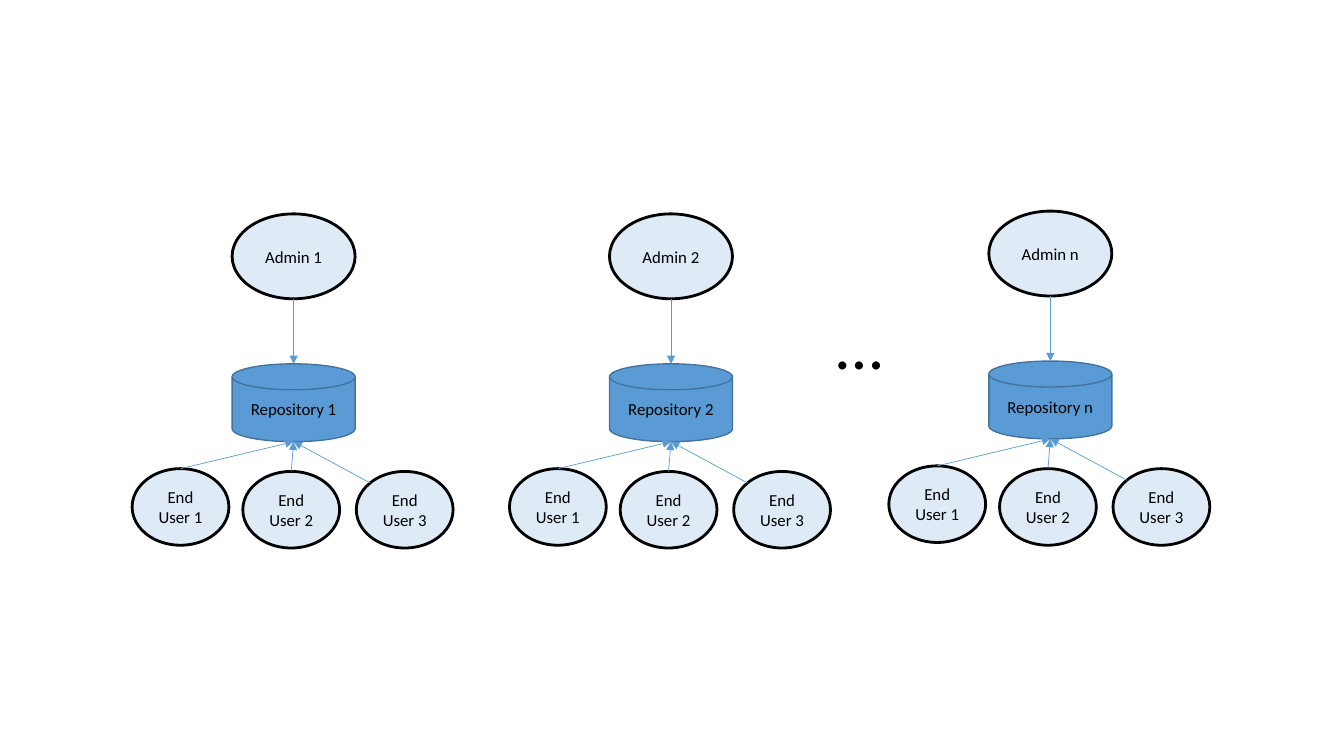
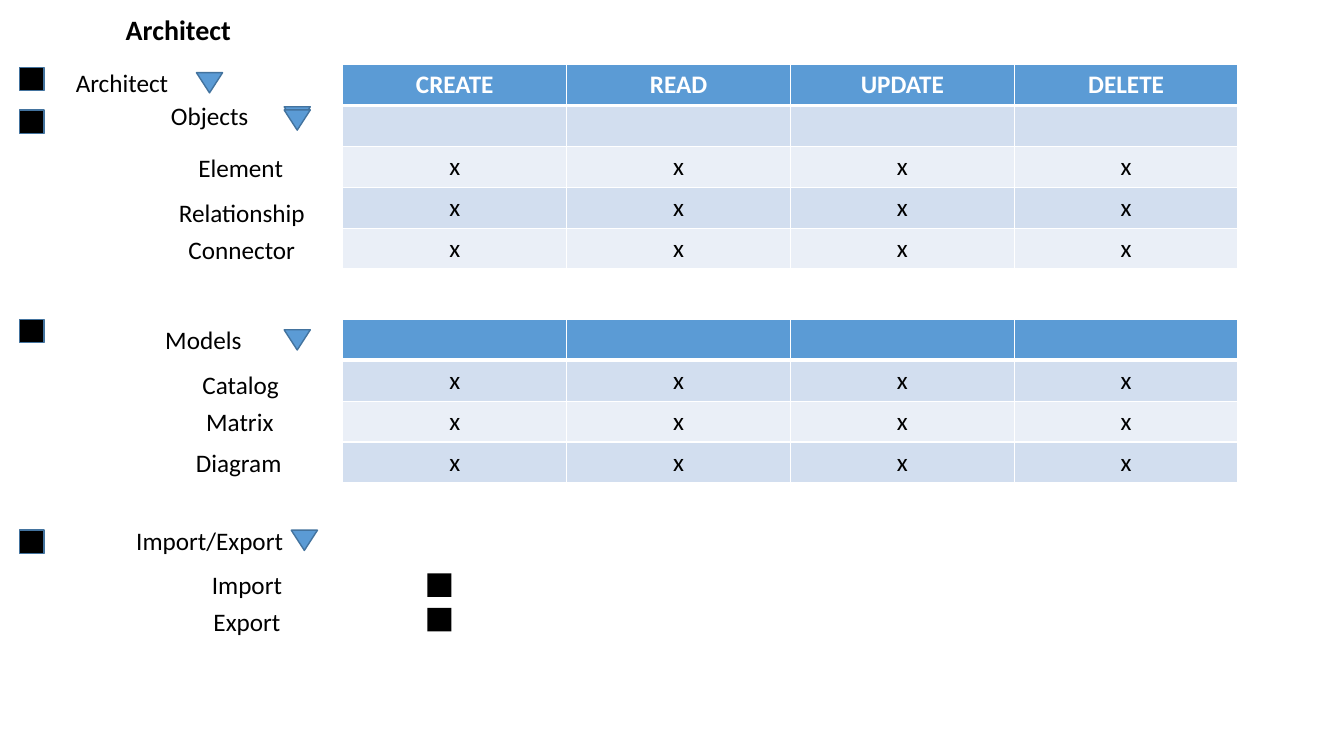
from lxml.etree import SubElement
from pptx import Presentation
from pptx.dml.color import RGBColor
from pptx.enum.shapes import MSO_CONNECTOR, MSO_SHAPE
from pptx.enum.text import MSO_ANCHOR, PP_ALIGN
from pptx.oxml.ns import qn
from pptx.util import Cm, Pt

FONT = "Calibri"
BLACK, WHITE = "000000", "FFFFFF"
BLUE, DARK_BLUE, PALE_BLUE = "5B9BD5", "43739E", "DEEBF7"
BANDS = ("D2DEEF", "EAEFF7")

ADMIN_W, ADMIN_H = 3.1, 2.14
REPO_DROP, REPO_H = 3.78, 1.96
USER_W, USER_H = 2.44, 1.93
LABEL_W, LABEL_H = 5.89, 1.02
COL_W, ROW_H = 5.64, 1.03
ACTIONS = ("CREATE", "READ", "UPDATE", "DELETE")
CHECKS = ("x",) * len(ACTIONS)
BLANKS = ("",) * len(ACTIONS)


def rgb(color):
    """Turn a hex string into a colour."""
    return RGBColor.from_string(color)


def write(tf, text, size, color=BLACK, bold=False, align=PP_ALIGN.CENTER):
    """Write one run into the first paragraph of a text frame."""
    p = tf.paragraphs[0]
    p.alignment = align
    r = p.add_run()
    r.text = text
    r.font.name, r.font.size, r.font.bold = FONT, Pt(size), bold
    r.font.color.rgb = rgb(color)


def add_label(shapes, text, left, top, width=LABEL_W, height=LABEL_H,
              size=18, anchor=MSO_ANCHOR.TOP, **style):
    """Add a wrapping text box."""
    tf = shapes.add_textbox(Cm(left), Cm(top), Cm(width), Cm(height)).text_frame
    tf.word_wrap = True
    tf.vertical_anchor = anchor
    write(tf, text, size, **style)


def add_figure(shapes, kind, left, top, width, height, fill,
               line=None, weight=1, text=""):
    """Add a filled preset shape, with an outline and text if given."""
    sp = shapes.add_shape(kind, Cm(left), Cm(top), Cm(width), Cm(height))
    sp.shadow.inherit = False
    sp.fill.solid()
    sp.fill.fore_color.rgb = rgb(fill)
    if line:
        sp.line.color.rgb = rgb(line)
        sp.line.width = Pt(weight)
    else:
        sp.line.fill.background()
    if text:
        sp.text_frame.word_wrap = True
        sp.text_frame.vertical_anchor = MSO_ANCHOR.MIDDLE
        write(sp.text_frame, text, 12)
    return sp


def add_person(shapes, text, left, top, width, height):
    """Add the ellipse of an admin or an end user."""
    add_figure(shapes, MSO_SHAPE.OVAL, left, top, width, height,
               PALE_BLUE, BLACK, 2, text)


def add_arrow(shapes, start, end):
    """Add a thin arrow between two points."""
    c = shapes.add_connector(MSO_CONNECTOR.STRAIGHT, *map(Cm, start + end))
    c.line.color.rgb = rgb(BLUE)
    c.line.width = Pt(0.5)
    SubElement(c.line._get_or_add_ln(), qn("a:tailEnd"), type="triangle")
    SubElement(c._element.spPr, qn("a:effectLst"))


def add_repository(s, name, left, top):
    """Add a group of one admin, one repository and three end users."""
    shapes = s.shapes.add_group_shape().shapes
    center = left + ADMIN_W / 2
    repo_top = top + REPO_DROP
    repo_foot = (center, repo_top + REPO_H)
    add_person(shapes, f"Admin {name}", left, top, ADMIN_W, ADMIN_H)
    add_figure(shapes, MSO_SHAPE.FLOWCHART_MAGNETIC_DISK, left, repo_top,
               ADMIN_W, REPO_H, BLUE, DARK_BLUE, text=f"Repository {name}")
    # Offsets from the admin: user left, user top, arrow start x and y
    users = ((-2.52, 6.42, -1.3, 6.42), (0.27, 6.49, 1.49, 6.49),
             (3.13, 6.49, 3.48, 6.78))
    for number, (dx, dy, start_x, start_y) in enumerate(users, 1):
        add_person(shapes, f"End User {number}", left + dx, top + dy,
                   USER_W, USER_H)
        add_arrow(shapes, (left + start_x, top + start_y), repo_foot)
    add_arrow(shapes, (center, top + ADMIN_H), (center, repo_top))


def set_borders(cell, top, bottom):
    """Give a cell white borders with the given top and bottom widths."""
    tc_pr = cell._tc.get_or_add_tcPr()
    sides = (("a:lnL", 1), ("a:lnR", 1), ("a:lnT", top), ("a:lnB", bottom))
    for i, (tag, width) in enumerate(sides):
        ln = SubElement(tc_pr, qn(tag), w=str(Pt(width)))
        fill = SubElement(ln, qn("a:solidFill"))
        SubElement(fill, qn("a:srgbClr"), val=WHITE)
        tc_pr.insert(i, ln)


def add_rights_table(s, rows, top):
    """Add a banded table of rights under a blue header row."""
    table = s.shapes.add_table(
        len(rows), len(ACTIONS), Cm(8.64), Cm(top),
        Cm(COL_W * len(ACTIONS)), Cm(ROW_H * len(rows))).table
    for col in table.columns:
        col.width = Cm(COL_W)
    for i, row in enumerate(rows):
        table.rows[i].height = Cm(ROW_H)
        for j, text in enumerate(row):
            cell = table.cell(i, j)
            cell.fill.solid()
            cell.fill.fore_color.rgb = rgb(BANDS[(i - 1) % 2] if i else BLUE)
            set_borders(cell, 3 if i == 1 else 1, 1 if i else 3)
            if text:
                write(cell.text_frame, text, 18, BLACK if i else WHITE, not i)


def add_marker(s, left, top):
    """Add a triangle that points down."""
    sp = add_figure(s.shapes, MSO_SHAPE.ISOSCELES_TRIANGLE, left, top,
                    0.66, 0.51, BLUE, DARK_BLUE)
    sp.rotation = 180


def add_checkbox(s, left, top, line=None):
    """Add a black checkbox."""
    add_figure(s.shapes, MSO_SHAPE.RECTANGLE, left, top, 0.61, 0.59, BLACK, line)


def build_repositories(s):
    """Build the slide of repositories with their admins and users."""
    for name, left, top in (("1", 5.85, 5.39), ("2", 15.36, 5.39),
                            ("n", 24.92, 5.32)):
        add_repository(s, name, left, top)
    add_label(s.shapes, "…", 20.45, 7.47, 2.44, 2.31, 48, MSO_ANCHOR.MIDDLE)


def build_rights(s):
    """Build the slide of the architect's rights."""
    add_label(s.shapes, "Architect", 2.92, 0.18, 4.83, 1.12, 20,
              bold=True, align=PP_ALIGN.LEFT)
    add_rights_table(s, [ACTIONS, BLANKS] + [CHECKS] * 3, 1.63)
    add_rights_table(s, [BLANKS] + [CHECKS] * 3, 8.05)
    labels = (
        ("Architect", 0.13, 1.57), ("Objects", 2.34, 2.41),
        ("Element", 3.12, 3.71), ("Relationship", 3.15, 4.85),
        ("Connector", 3.15, 5.77), ("Models", 2.18, 8.05),
        ("Catalog", 3.12, 9.19), ("Matrix", 3.1, 10.11),
        ("Diagram", 3.07, 11.15), ("Import/Export", 2.34, 13.11),
        ("Import", 3.28, 14.22), ("Export", 3.28, 15.16))
    for text, left, top in labels:
        add_label(s.shapes, text, left, top)
    for left, top in ((4.95, 1.83), (7.16, 2.69), (7.16, 2.77),
                      (7.16, 8.31), (7.34, 13.36)):
        add_marker(s, left, top)
    for top in (1.7, 2.77, 8.05, 13.36):
        add_checkbox(s, 0.5, top, DARK_BLUE)
    for top in (14.45, 15.32):
        add_checkbox(s, 10.77, top)


def main():
    """Build both slides and save the presentation."""
    prs = Presentation()
    prs.slide_width, prs.slide_height = Cm(33.87), Cm(19.05)
    for build in (build_repositories, build_rights):
        build(prs.slides.add_slide(prs.slide_layouts[6]))
    prs.save("out.pptx")


main()
